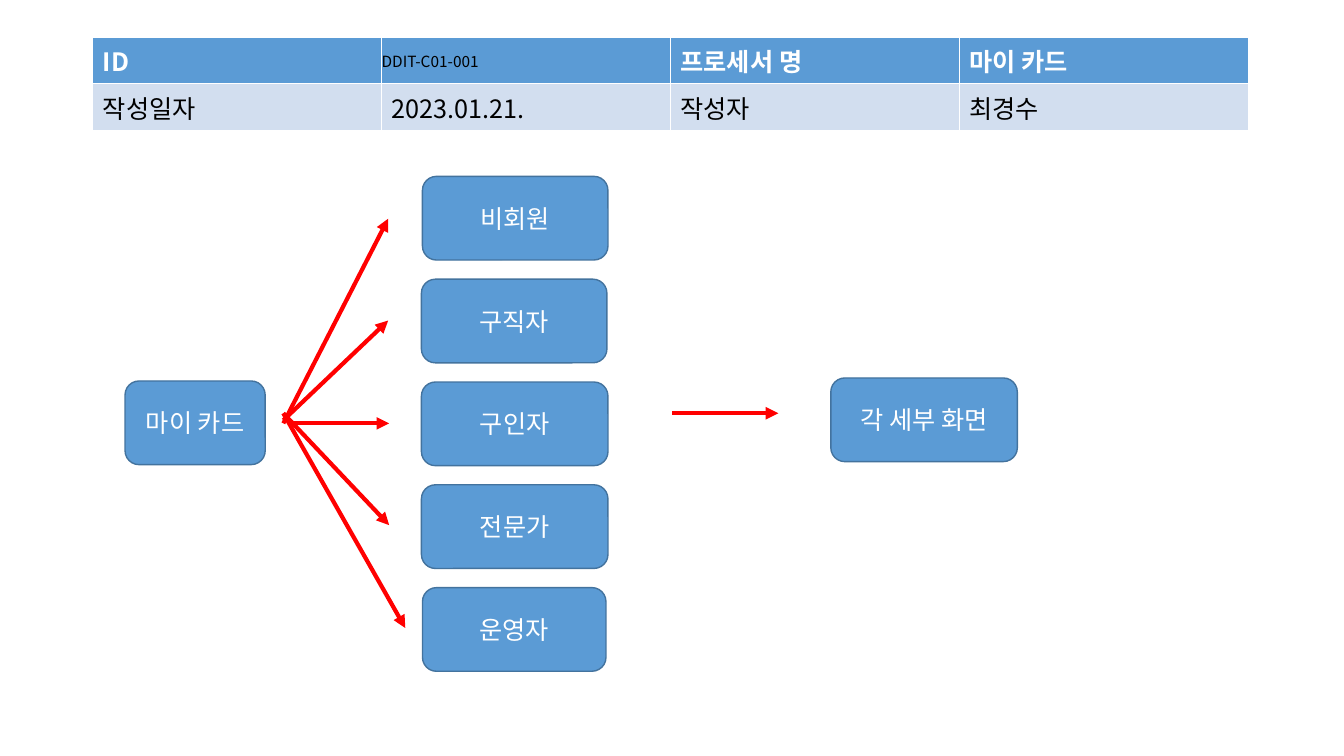
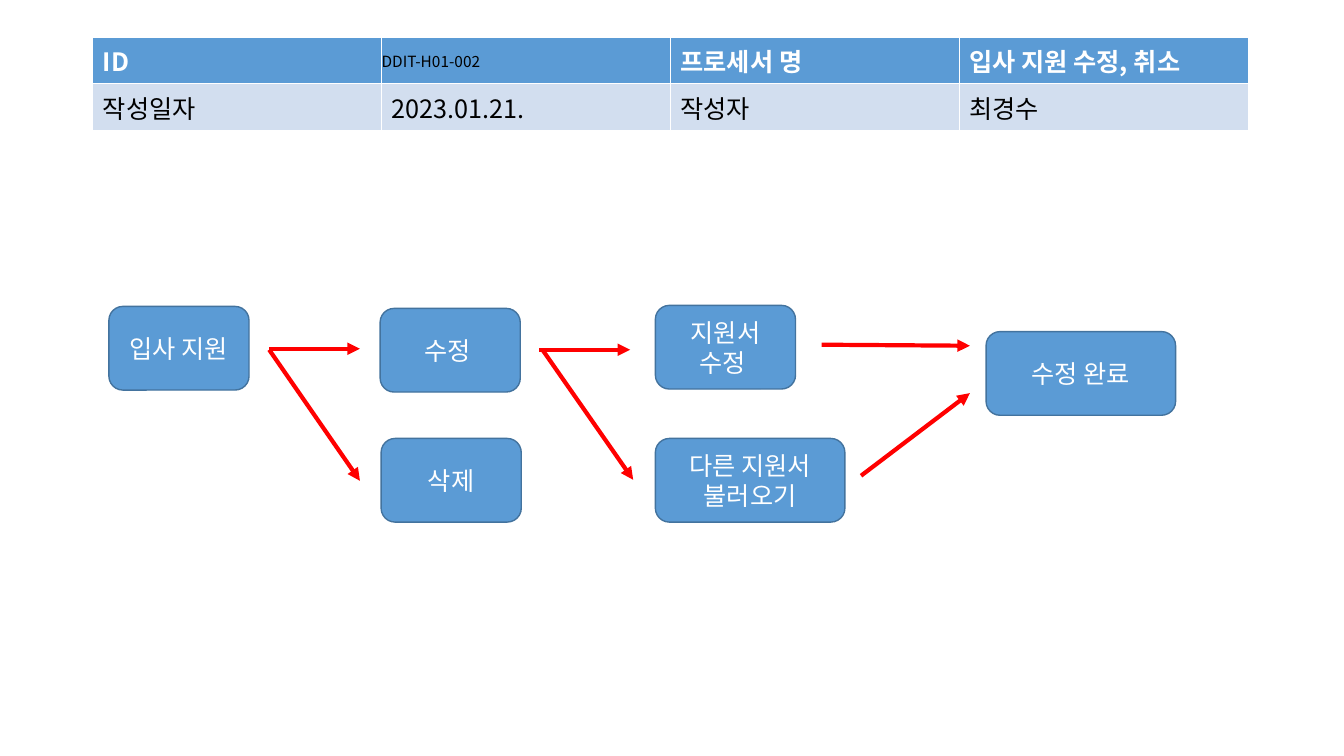
from lxml import etree
from pptx import Presentation
from pptx import util as u
from pptx.dml.color import RGBColor
from pptx.enum import shapes, text
from pptx.oxml import ns

PX = 9144
FONT = "Noto Sans CJK KR"
COLORS = {
    "header": "5B9BD5",
    "row": "D2DEEF",
    "outline": "43739E",
    "arrow": "FF0000",
    "light": "FFFFFF",
    "dark": "000000",
}
BOX_HEIGHT = 83
TABLE_LEFT, TABLE_TOP, TABLE_WIDTH = 92, 37, 1146
ROW_HEIGHTS = [43, 41]

ROLE_TOP, ROLE_STEP = 175, 102
ROLES = [
    ("비회원", 419, 184),
    ("구직자", 418, 184),
    ("구인자", 418, 185),
    ("전문가", 418, 185),
    ("운영자", 419, 182),
]

PROCESSES = [
    {
        "id": "DDIT-C01-001",
        "name": "마이 카드",
        "boxes": [
            (left, ROLE_TOP + i * ROLE_STEP, width, [role])
            for i, (role, left, width) in enumerate(ROLES)
        ] + [
            (124, 378, 139, ["마이 카드"]),
            (824, 375, 185, ["각 세부 화면"]),
        ],
        "arrows": [
            (281, 420, 385, 217),
            (281, 417, 385, 318),
            (291, 420, 386, 420),
            (281, 410, 386, 521),
            (281, 410, 402, 623),
            (667, 410, 772, 410),
        ],
    },
    {
        "id": "DDIT-H01-002",
        "name": "입사 지원 수정, 취소",
        "boxes": [
            (108, 304, 139, ["입사 지원"]),
            (377, 306, 139, ["수정 "]),
            (378, 435, 139, ["삭제"]),
            (650, 303, 139, ["지원서", "수정 "]),
            (650, 435, 188, ["다른 지원서 불러오기"]),
            (978, 329, 188, ["수정 완료"]),
        ],
        "arrows": [
            (267, 346, 357, 346),
            (267, 347, 357, 477),
            (535, 347, 625, 347),
            (538, 347, 628, 476),
            (815, 342, 962, 343),
            (854, 472, 962, 390),
        ],
    },
]


def color(name):
    return RGBColor.from_string(COLORS[name])


def write(paragraph, words, size, ink, bold=False):
    run = paragraph.add_run()
    run.text = words
    run.font.size = u.Pt(size)
    run.font.bold = bold
    run.font.name = FONT
    run.font.color.rgb = color(ink)
    east_asian = etree.SubElement(run.font._element, ns.qn("a:ea"))
    east_asian.set("typeface", FONT)


deck = Presentation()
deck.slide_width, deck.slide_height = 1333 * PX, 750 * PX

for process in PROCESSES:
    slide = deck.slides.add_slide(deck.slide_layouts[6])

    header = slide.shapes.add_table(
        2, 4, TABLE_LEFT * PX, TABLE_TOP * PX, TABLE_WIDTH * PX, sum(ROW_HEIGHTS) * PX
    ).table
    rows = [
        ["ID", process["id"], "프로세서 명", process["name"]],
        ["작성일자", "2023.01.21.", "작성자", "최경수"],
    ]
    for r, labels in enumerate(rows):
        header.rows[r].height = ROW_HEIGHTS[r] * PX
        for c, label in enumerate(labels):
            cell = header.cell(r, c)
            cell.fill.solid()
            cell.fill.fore_color.rgb = color("row" if r else "header")
            paragraph = cell.text_frame.paragraphs[0]
            if (r, c) == (0, 1):
                cell.vertical_anchor = text.MSO_ANCHOR.MIDDLE
                cell.margin_left = cell.margin_right = 0
                cell.margin_top = cell.margin_bottom = 0
                write(paragraph, label, 11, "dark")
            else:
                write(paragraph, label, 18, "dark" if r else "light", r == 0)
            properties = cell._tc.get_or_add_tcPr()
            for i, side in enumerate(["lnL", "lnR", "lnT", "lnB"]):
                border = etree.Element(ns.qn("a:" + side), w=str(u.Pt(1)))
                fill = etree.SubElement(border, ns.qn("a:solidFill"))
                etree.SubElement(fill, ns.qn("a:srgbClr"), val=COLORS["light"])
                properties.insert(i, border)

    for x1, y1, x2, y2 in process["arrows"]:
        arrow = slide.shapes.add_connector(
            shapes.MSO_CONNECTOR.STRAIGHT, x1 * PX, y1 * PX, x2 * PX, y2 * PX
        )
        arrow.line.width = u.Pt(3)
        arrow.line.color.rgb = color("arrow")
        etree.SubElement(arrow.line._get_or_add_ln(), ns.qn("a:tailEnd"), type="triangle")
        etree.SubElement(arrow._element.spPr, ns.qn("a:effectLst"))

    for left, top, width, lines in process["boxes"]:
        step = slide.shapes.add_shape(
            shapes.MSO_SHAPE.ROUNDED_RECTANGLE,
            left * PX, top * PX, width * PX, BOX_HEIGHT * PX,
        )
        step.shadow.inherit = False
        step.fill.solid()
        step.fill.fore_color.rgb = color("header")
        step.line.color.rgb = color("outline")
        step.line.width = u.Pt(1)
        frame = step.text_frame
        frame.word_wrap = True
        frame.vertical_anchor = text.MSO_ANCHOR.MIDDLE
        for i, line in enumerate(lines):
            paragraph = frame.add_paragraph() if i else frame.paragraphs[0]
            paragraph.alignment = text.PP_ALIGN.CENTER
            write(paragraph, line, 18, "light")

deck.save("out.pptx")
